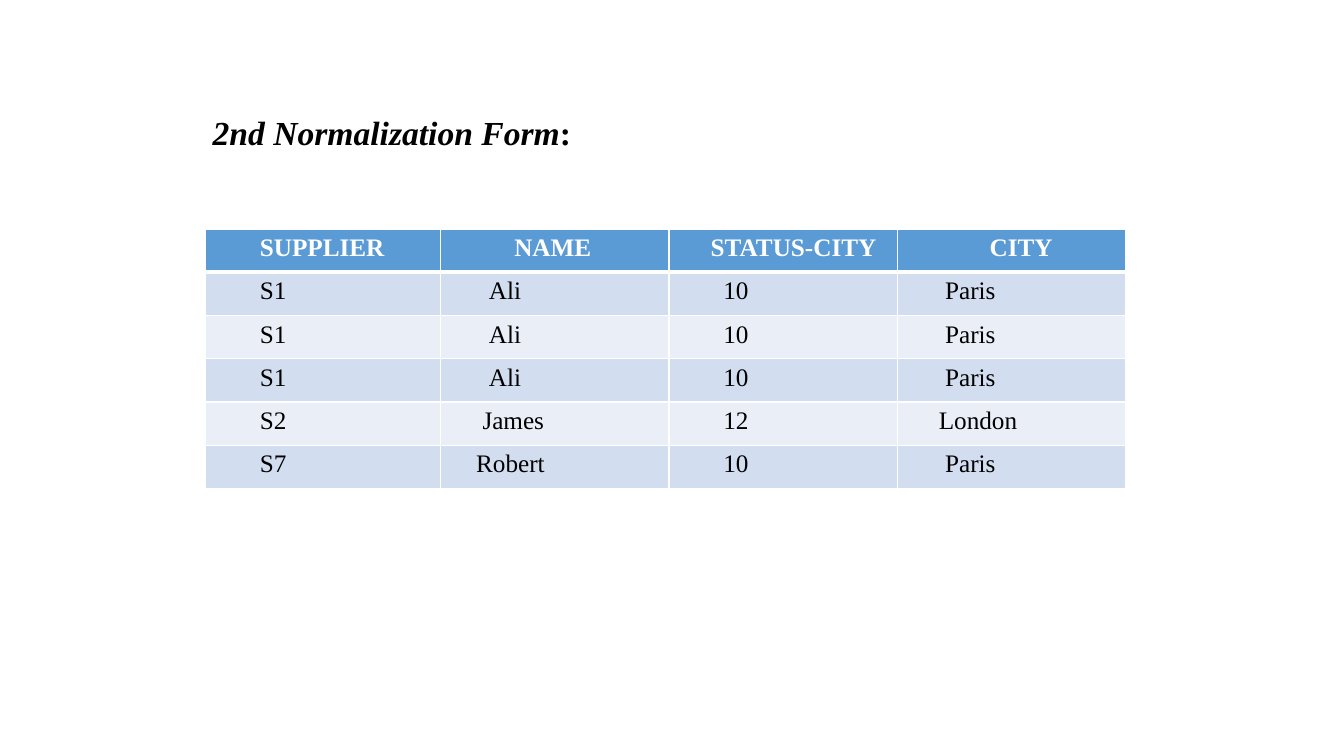
from lxml.etree import SubElement
from pptx import Presentation
from pptx.dml.color import RGBColor
from pptx.enum.text import MSO_AUTO_SIZE as AutoSize
from pptx.oxml.ns import qn
from pptx.util import Cm, Pt

HEADINGS = [("SUPPLIER", 7), ("NAME", 10), ("STATUS-CITY", 5), ("CITY", 13)]
SUPPLIERS = [
    [("S1", 7), ("Ali", 6), ("10", 7), ("Paris", 6)],
    [("S1", 7), ("Ali", 6), ("10", 7), ("Paris", 6)],
    [("S1", 7), ("Ali", 6), ("10", 7), ("Paris", 6)],
    [("S2", 7), ("James", 5), ("12", 7), ("London", 5)],
    [("S7", 7), ("Robert", 4), ("10", 7), ("Paris", 6)],
]
TITLE = [("2nd Normalization Form", True), (":", False)]

FONT = "Times New Roman"
BLACK = RGBColor(0x00, 0x00, 0x00)
WHITE = RGBColor(0xFF, 0xFF, 0xFF)
BLUE = RGBColor(0x5B, 0x9B, 0xD5)
BANDS = [RGBColor(0xD2, 0xDE, 0xEF), RGBColor(0xEA, 0xEF, 0xF7)]

COLUMN_WIDTHS = [5.93, 5.75, 5.75, 5.75]
ROW_HEIGHT = 1.09
CELL_MARGIN = 0.25
INDENT_STEP = 0.16


def add_text(paragraph, text, size=18, color=BLACK, bold=False, italic=False):
    run = paragraph.add_run()
    run.text = text
    font = run.font
    font.name, font.size = FONT, Pt(size)
    font.bold, font.italic = bold, italic
    font.color.rgb = color


def add_borders(cell, widths):
    properties = cell._tc.get_or_add_tcPr()
    for side, width in widths.items():
        border = SubElement(properties, qn(f"a:ln{side}"), w=str(Pt(width)))
        fill = SubElement(border, qn("a:solidFill"))
        SubElement(fill, qn("a:srgbClr"), val=str(WHITE))


def add_suppliers(slide):
    rows = [HEADINGS] + SUPPLIERS
    table = slide.shapes.add_table(
        len(rows), len(HEADINGS), Cm(5.18), Cm(5.77),
        Cm(sum(COLUMN_WIDTHS)), Cm(ROW_HEIGHT * len(rows))).table
    for column, width in zip(table.columns, COLUMN_WIDTHS):
        column.width = Cm(width)
    for r, entries in enumerate(rows):
        heading = r == 0
        table.rows[r].height = Cm(ROW_HEIGHT)
        for c, (text, indent) in enumerate(entries):
            cell = table.cell(r, c)
            cell.margin_left = Cm(CELL_MARGIN + indent * INDENT_STEP)
            add_borders(cell, {"L": 1, "R": 1, "T": 3 if r == 1 else 1,
                               "B": 3 if heading else 1})
            cell.fill.solid()
            cell.fill.fore_color.rgb = BLUE if heading else BANDS[(r - 1) % 2]
            add_text(cell.text_frame.paragraphs[0], text,
                     color=WHITE if heading else BLACK, bold=heading)


def add_title(slide):
    frame = slide.shapes.add_textbox(Cm(5.11), Cm(2.7), Cm(9.63), Cm(1.28)).text_frame
    frame.word_wrap = False
    frame.auto_size = AutoSize.SHAPE_TO_FIT_TEXT
    for text, italic in TITLE:
        add_text(frame.paragraphs[0], text, size=24, bold=True, italic=italic)


def main():
    deck = Presentation()
    deck.slide_width, deck.slide_height = Cm(33.87), Cm(19.05)
    slide = deck.slides.add_slide(deck.slide_layouts[6])
    add_suppliers(slide)
    add_title(slide)
    deck.save("out.pptx")


if __name__ == "__main__":
    main()
